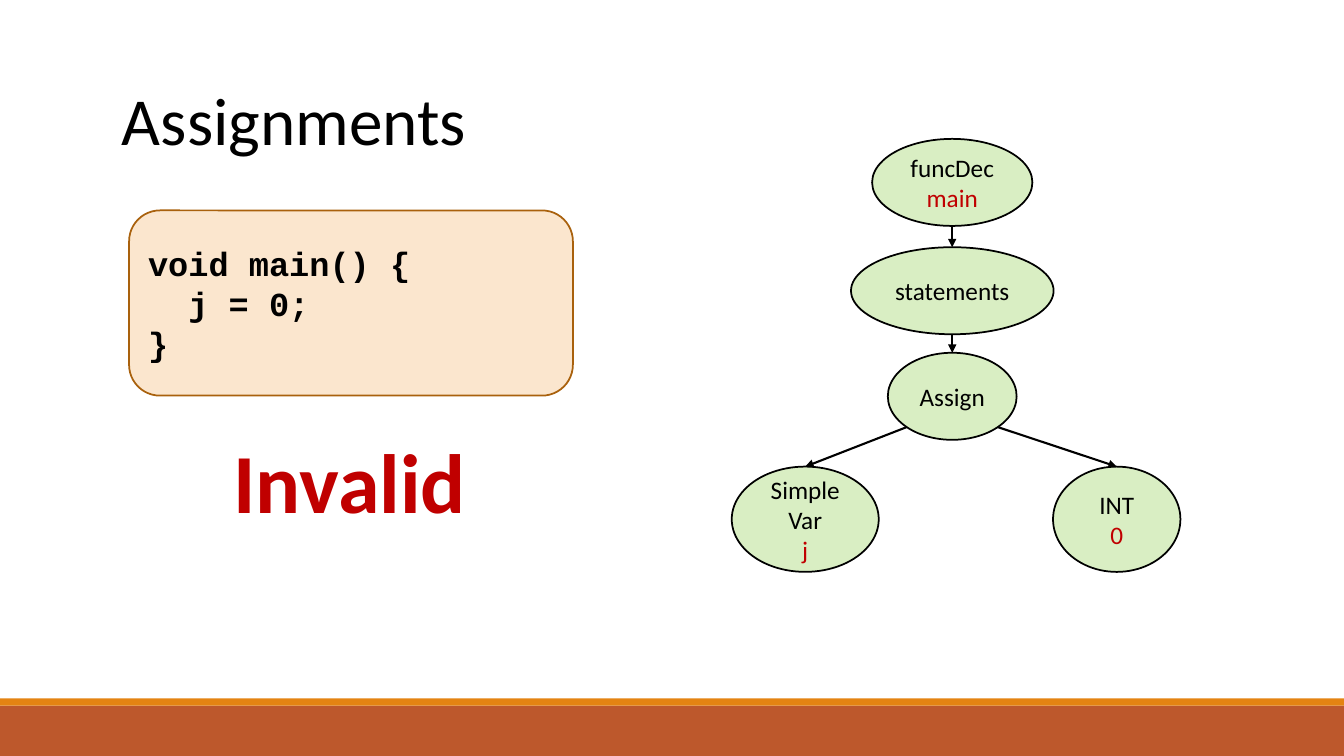
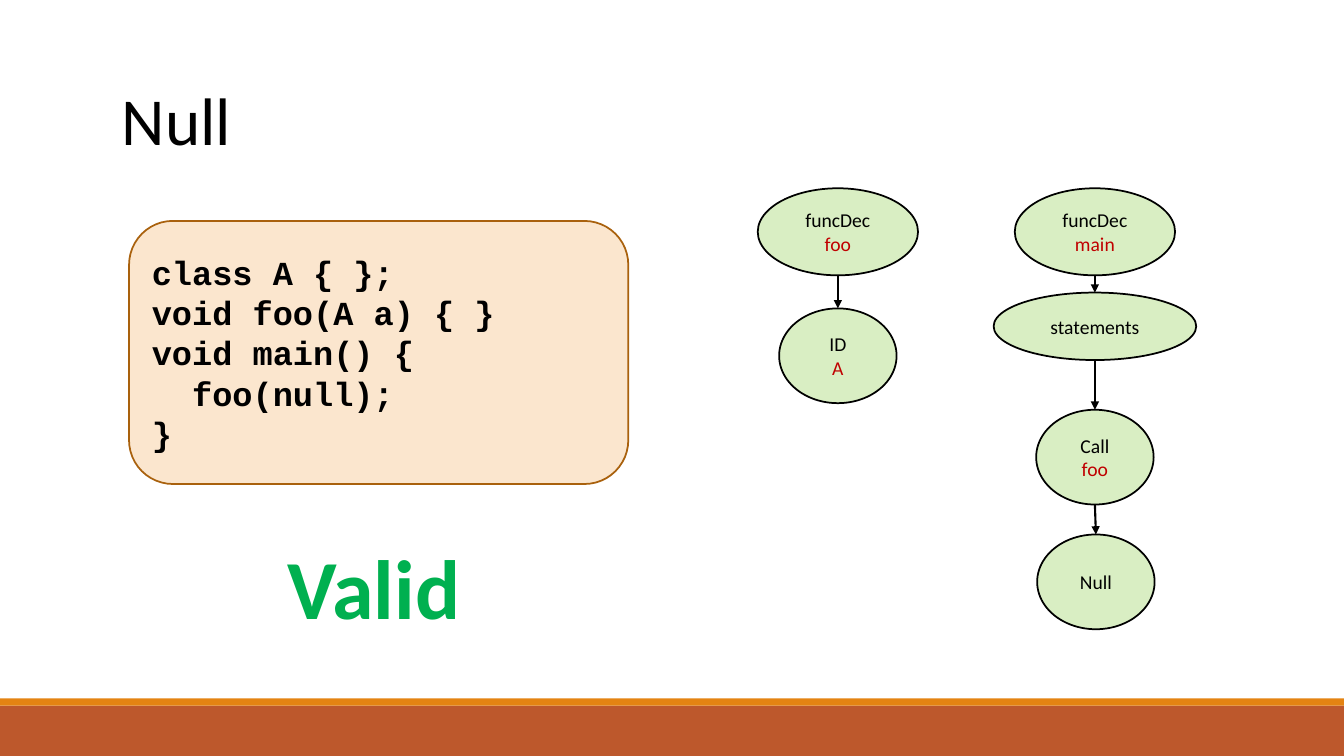
import math
from dataclasses import dataclass

import lxml.etree
import pptx
import pptx.dml.color
import pptx.enum.shapes
import pptx.enum.text
import pptx.oxml.ns
import pptx.util

Pt = pptx.util.Pt
SHAPES = pptx.enum.shapes.MSO_SHAPE
ALIGN = pptx.enum.text.PP_ALIGN
ANCHOR = pptx.enum.text.MSO_ANCHOR

SLIDE_WIDTH, SLIDE_HEIGHT = 960, 540
INK, RED, GREEN = "000000", "C00000", "00B050"
BAND, BAND_EDGE = "BD582C", "E48312"
CODE_FILL, CODE_EDGE = "FBE6CE", "A9610D"
NODE_FILL, NODE_OPACITY = "92D050", 34
BODY_FONT, CODE_FONT = "Calibri", "Courier New"


@dataclass(frozen=True)
class Box:
    left: float
    top: float
    width: float
    height: float


@dataclass(frozen=True)
class Node:
    labels: tuple[str, ...]
    detail: str
    center: float
    top: float
    width: float
    height: float
    children: tuple["Node", ...] = ()


@dataclass(frozen=True)
class Example:
    title: str
    code: tuple[str, ...]
    code_box: Box
    verdict: str
    verdict_color: str
    verdict_box: Box
    node_size: float
    trees: tuple[Node, ...]


def rgb(color: str) -> pptx.dml.color.RGBColor:
    return pptx.dml.color.RGBColor.from_string(color)


def add_a(parent, tag: str, **attributes: str):
    return lxml.etree.SubElement(parent, pptx.oxml.ns.qn(f"a:{tag}"), **attributes)


def draw_shape(slide, preset, box: Box, fill: str, edge: str = "", opacity: int = 100):
    shape = slide.shapes.add_shape(
        preset, Pt(box.left), Pt(box.top), Pt(box.width), Pt(box.height))
    shape.shadow.inherit = False
    shape.fill.solid()
    shape.fill.fore_color.rgb = rgb(fill)
    if opacity < 100:
        fill_color = shape._element.spPr.find(".//" + pptx.oxml.ns.qn("a:srgbClr"))
        add_a(fill_color, "alpha", val=str(opacity * 1000))
    if edge:
        shape.line.color.rgb = rgb(edge)
        shape.line.width = Pt(1.25)
    else:
        shape.line.fill.background()
    return shape


def write(frame, lines: list[tuple[str, str]], size: float, font: str = BODY_FONT,
          bold: bool = False, align=ALIGN.LEFT, anchor=ANCHOR.TOP) -> None:
    frame.word_wrap = True
    frame.vertical_anchor = anchor
    for index, (text, color) in enumerate(lines):
        paragraph = frame.add_paragraph() if index else frame.paragraphs[0]
        paragraph.text = text
        paragraph.alignment = align
        paragraph.font.name = font
        paragraph.font.size = Pt(size)
        paragraph.font.bold = bold
        paragraph.font.color.rgb = rgb(color)


def draw_text(slide, box: Box, text: str, color: str, size: float, bold: bool = False,
              align=ALIGN.LEFT) -> None:
    label = slide.shapes.add_textbox(
        Pt(box.left), Pt(box.top), Pt(box.width), Pt(box.height))
    write(label.text_frame, [(text, color)], size, bold=bold, align=align)


def draw_edge(slide, parent: Node, child: Node) -> None:
    start_x, start_y = parent.center, parent.top + parent.height
    if len(parent.children) > 1:
        reach = math.sqrt(0.5) / 2
        start_x += math.copysign(parent.width * reach, child.center - parent.center)
        start_y = parent.top + parent.height * (0.5 + reach)
    edge = slide.shapes.add_connector(
        pptx.enum.shapes.MSO_CONNECTOR.STRAIGHT,
        Pt(start_x), Pt(start_y), Pt(child.center), Pt(child.top))
    edge.line.color.rgb = rgb(INK)
    edge.line.width = Pt(1.5)
    add_a(edge.line._get_or_add_ln(), "tailEnd", type="triangle")
    add_a(edge._element.spPr, "effectLst")


def draw_tree(slide, node: Node, size: float) -> None:
    box = Box(node.center - node.width / 2, node.top, node.width, node.height)
    oval = draw_shape(slide, SHAPES.OVAL, box, NODE_FILL, INK, NODE_OPACITY)
    lines = [(label, INK) for label in node.labels]
    if node.detail:
        lines.append((node.detail, RED))
    write(oval.text_frame, lines, size, align=ALIGN.CENTER, anchor=ANCHOR.MIDDLE)
    for child in node.children:
        draw_edge(slide, node, child)
        draw_tree(slide, child, size)


def draw_example(deck, example: Example) -> None:
    slide = deck.slides.add_slide(deck.slide_layouts[6])
    draw_shape(slide, SHAPES.RECTANGLE, Box(0, 504, SLIDE_WIDTH, 36), BAND)
    draw_shape(slide, SHAPES.RECTANGLE, Box(0, 498.8, SLIDE_WIDTH, 5.2), BAND_EDGE)
    draw_text(slide, Box(80, 52.7, 798.5, 65.5), example.title, INK, 48)
    code = draw_shape(
        slide, SHAPES.ROUNDED_RECTANGLE, example.code_box, CODE_FILL, CODE_EDGE)
    write(code.text_frame, [(line, INK) for line in example.code], 24, CODE_FONT,
          bold=True, anchor=ANCHOR.MIDDLE)
    draw_text(slide, example.verdict_box, example.verdict, example.verdict_color, 60,
              bold=True, align=ALIGN.CENTER)
    for tree in example.trees:
        draw_tree(slide, tree, example.node_size)


VARIABLE = Node(("Simple", "Var"), "j", 575.2, 333.3, 105, 75.2)
INTEGER = Node(("INT",), "0", 797.7, 333.3, 91, 75.2)
ASSIGN = Node(("Assign",), "", 680.2, 252, 92, 62.2, (VARIABLE, INTEGER))
ASSIGN_BODY = Node(("statements",), "", 680.2, 176.6, 144.7, 62.2, (ASSIGN,))
ASSIGN_MAIN = Node(("funcDec",), "main", 680.2, 99.2, 114.5, 62.2, (ASSIGN_BODY,))

NULL = Node(("Null",), "", 782.8, 381.8, 83.9, 67.7)
CALL = Node(("Call",), "foo", 782.1, 292.7, 83.9, 67.7, (NULL,))
CALL_BODY = Node(("statements",), "", 782.1, 209, 144.7, 48.2, (CALL,))
CALL_MAIN = Node(("funcDec",), "main", 782.1, 134.5, 114.5, 62.2, (CALL_BODY,))
PARAMETER = Node(("ID",), "A", 598.5, 220.3, 83.9, 67.7)
FOO = Node(("funcDec",), "foo", 598.5, 134.5, 114.5, 62.2, (PARAMETER,))

EXAMPLES = (
    Example(
        "Assignments",
        ("void main() {", "  j = 0;", "}"), Box(92.2, 150.3, 317, 132.3),
        "Invalid", RED, Box(139.7, 303, 220, 80),
        18, (ASSIGN_MAIN,)),
    Example(
        "Null",
        ("class A { };", "void foo(A a) { }", "void main() {", "  foo(null);", "}"),
        Box(92.2, 157.8, 356.6, 187.9),
        "Valid", GREEN, Box(157, 379, 220, 80),
        14, (FOO, CALL_MAIN)),
)


def main() -> None:
    deck = pptx.Presentation()
    deck.slide_width, deck.slide_height = Pt(SLIDE_WIDTH), Pt(SLIDE_HEIGHT)
    for example in EXAMPLES:
        draw_example(deck, example)
    deck.save("out.pptx")


if __name__ == "__main__":
    main()
